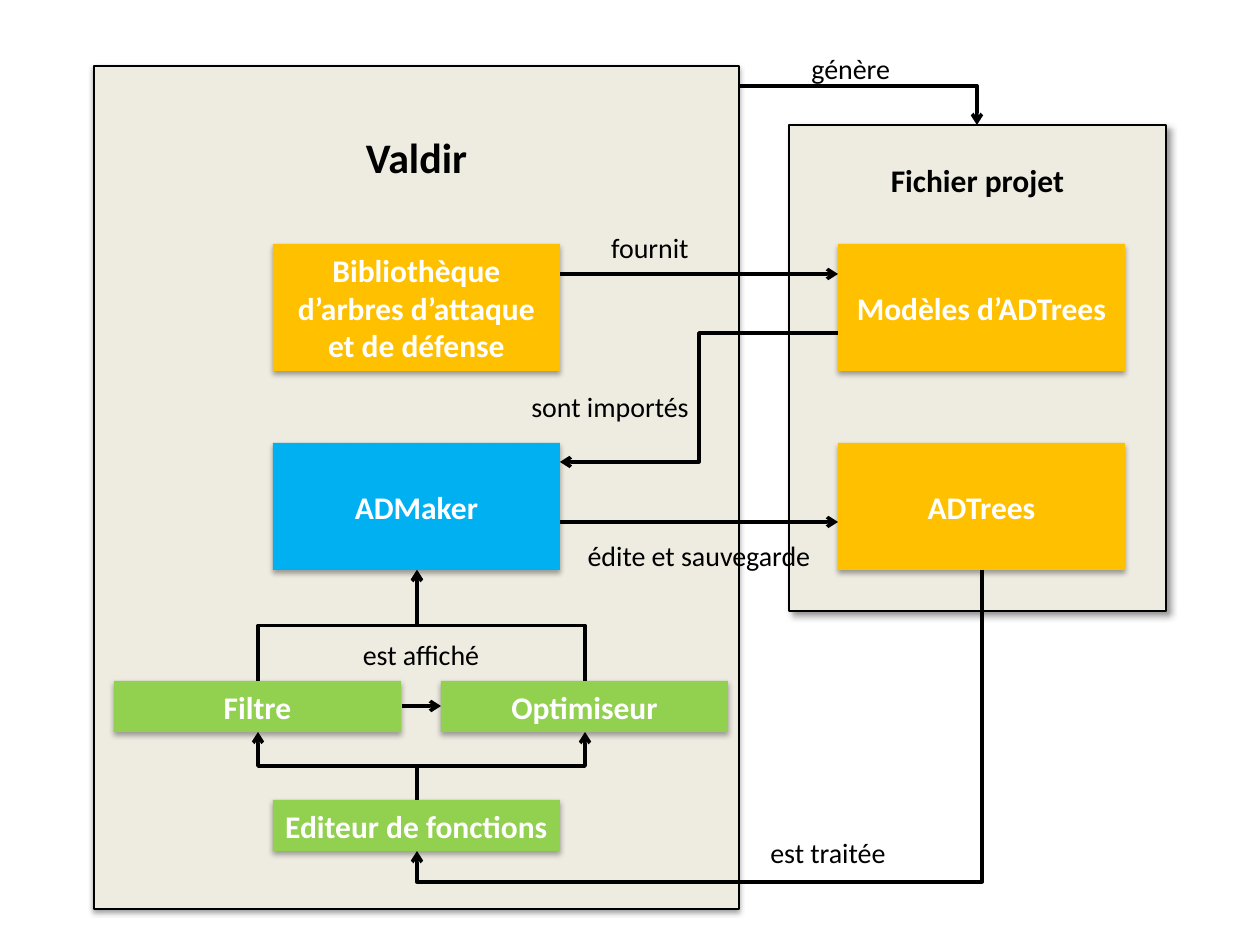
"""Build a slide showing how a tool, its modules and a project file interact."""
import pptx
import pptx.dml.color
import pptx.enum.shapes
import pptx.enum.text
import pptx.oxml
import pptx.oxml.ns
import pptx.util

SCALE = 914400 / 126
COLORS = {"panel": "EEECE1", "library": "FFC000", "tool": "00B0F0",
          "module": "92D050", "ink": "000000", "white": "FFFFFF"}
BOX_W, BOX_H, MODULE_H = 287, 127, 51
BOX_SHADOW = (35, 3.1, 1.8, 90)
ALIGN = pptx.enum.text.PP_ALIGN
ANCHOR = pptx.enum.text.MSO_ANCHOR


def px(length):
    return round(length * SCALE)


def rgb(name):
    return pptx.dml.color.RGBColor.from_string(COLORS[name])


def write(shape, text, size=16, bold=False, color="ink", align=ALIGN.CENTER,
          anchor=ANCHOR.TOP, wrap=True):
    frame = shape.text_frame
    frame.word_wrap = wrap
    frame.vertical_anchor = anchor
    paragraph = frame.paragraphs[0]
    paragraph.alignment = align
    run = paragraph.add_run()
    run.text = text
    run.font.name = "Calibri"
    run.font.size = pptx.util.Pt(size)
    run.font.bold = bold
    run.font.color.rgb = rgb(color)


def add_shadow(shape, opacity, blur, distance, angle):
    shape.shadow.inherit = False
    effects = shape._element.spPr.find(pptx.oxml.ns.qn("a:effectLst"))
    effects.append(pptx.oxml.parse_xml(
        f'<a:outerShdw {pptx.oxml.ns.nsdecls("a")} blurRad="{pptx.util.Pt(blur)}" '
        f'dist="{pptx.util.Pt(distance)}" dir="{angle * 60000}" rotWithShape="0">'
        f'<a:srgbClr val="{COLORS["ink"]}"><a:alpha val="{opacity * 1000}"/>'
        '</a:srgbClr></a:outerShdw>'))


def add_rect(slide, left, top, width, height, color, shadow):
    rect = slide.shapes.add_shape(
        pptx.enum.shapes.MSO_SHAPE.RECTANGLE, px(left), px(top), px(width), px(height))
    rect.fill.solid()
    rect.fill.fore_color.rgb = rgb(color)
    add_shadow(rect, *shadow)
    return rect


def add_panel(slide, left, top, width, height, shadow):
    panel = add_rect(slide, left, top, width, height, "panel", shadow)
    panel.line.color.rgb = rgb("ink")
    panel.line.width = pptx.util.Pt(0.75)


def add_box(slide, left, top, height, color, text, wrap=False):
    box = add_rect(slide, left, top, BOX_W, height, color, BOX_SHADOW)
    box.line.fill.background()
    write(box, text, size=18, bold=True, color="white", anchor=ANCHOR.MIDDLE, wrap=wrap)


def add_label(slide, left, top, width, height, text, **style):
    label = slide.shapes.add_textbox(px(left), px(top), px(width), px(height))
    write(label, text, **style)


def add_arrow(slide, start, end, kind="STRAIGHT"):
    arrow = slide.shapes.add_connector(
        pptx.enum.shapes.MSO_CONNECTOR[kind], *map(px, start + end))
    arrow.line.color.rgb = rgb("ink")
    arrow.line.width = pptx.util.Pt(2)
    namespace = pptx.oxml.ns.nsdecls("a")
    arrow.line._get_or_add_ln().append(
        pptx.oxml.parse_xml(f'<a:tailEnd {namespace} type="arrow"/>'))
    arrow._element.spPr.append(pptx.oxml.parse_xml(f"<a:effectLst {namespace}/>"))
    return arrow


def add_corner_arrow(slide, start, end):
    arrow = add_arrow(slide, start, end, "ELBOW")
    arrow._element.spPr.prstGeom.set("prst", "bentConnector2")


def add_vertical_elbow(slide, start, end, bend=0.5):
    """Draw an elbow arrow that leaves its start vertically."""
    arrow = add_arrow(slide, start, end, "ELBOW")
    across, down = end[0] - start[0], end[1] - start[1]
    width, height = abs(down), abs(across)
    arrow.left = px((start[0] + end[0] - width) / 2)
    arrow.top = px((start[1] + end[1] - height) / 2)
    arrow.width, arrow.height = px(width), px(height)
    transform = arrow._element.spPr.xfrm
    transform.set("rot", str((90 if down > 0 else 270) * 60000))
    transform.set("flipH", "0")
    transform.set("flipV", str(int((across > 0) == (down > 0))))
    guides = arrow._element.spPr.prstGeom.get_or_add_avLst()
    guides.append(pptx.oxml.parse_xml(
        f'<a:gd {pptx.oxml.ns.nsdecls("a")} name="adj1" fmla="val {round(bend * 100000)}"/>'))


def main():
    deck = pptx.Presentation()
    deck.slide_width, deck.slide_height = px(1260), px(945)
    slide = deck.slides.add_slide(deck.slide_layouts[6])

    tool_left, project_left = 273, 838
    tool_right = tool_left + BOX_W
    center = 417
    library_top, tool_top, module_top, editor_top = 244, 443, 681, 800
    tool_bottom = tool_top + BOX_H
    module_bottom, editor_bottom = module_top + MODULE_H, editor_top + MODULE_H

    add_panel(slide, 94, 66, 645, 843, (38, 3.1, 1.6, 90))
    add_panel(slide, 789, 125, 377, 486, (40, 4, 3, 45))
    for left, top, height, color, text in (
            (tool_left, tool_top, BOX_H, "tool", "ADMaker"),
            (project_left, library_top, BOX_H, "library", "Modèles d’ADTrees"),
            (project_left, tool_top, BOX_H, "library", "ADTrees"),
            (114, module_top, MODULE_H, "module", "Filtre"),
            (441, module_top, MODULE_H, "module", "Optimiseur"),
            (tool_left, editor_top, MODULE_H, "module", "Editeur de fonctions")):
        add_box(slide, left, top, height, color, text)
    add_box(slide, tool_left, library_top, BOX_H, "library",
            "Bibliothèque d’arbres d’attaque et de défense", wrap=True)

    for start, end in (((tool_right, 274), (project_left, 274)),
                       ((tool_right, 522), (project_left, 522)),
                       ((402, 706), (441, 706))):
        add_arrow(slide, start, end)
    add_corner_arrow(slide, (739, 86), (977, 125))
    add_arrow(slide, (project_left, 333), (tool_right, 462), "ELBOW")
    add_vertical_elbow(slide, (982, tool_bottom), (center, editor_bottom), bend=1.11)
    for module_center in (258, 585):
        add_vertical_elbow(slide, (center, editor_top), (module_center, module_bottom))
        add_vertical_elbow(slide, (module_center, module_top), (center, tool_bottom))

    add_label(slide, 233, 125, 367, 63, "Valdir", size=24, bold=True)
    add_label(slide, 799, 155, 357, 50, "Fichier projet", size=18, bold=True)
    add_label(slide, 799, 45, 287, 47, "génère", align=ALIGN.LEFT)
    for left, top, width, text in ((551, 224, 198, "fournit"),
                                   (501, 383, 218, "sont importés"),
                                   (570, 532, 258, "édite et sauvegarde"),
                                   (282, 631, 278, "est affiché"),
                                   (689, 829, 278, "est traitée")):
        add_label(slide, left, top, width, 47, text)

    deck.save("out.pptx")


main()
